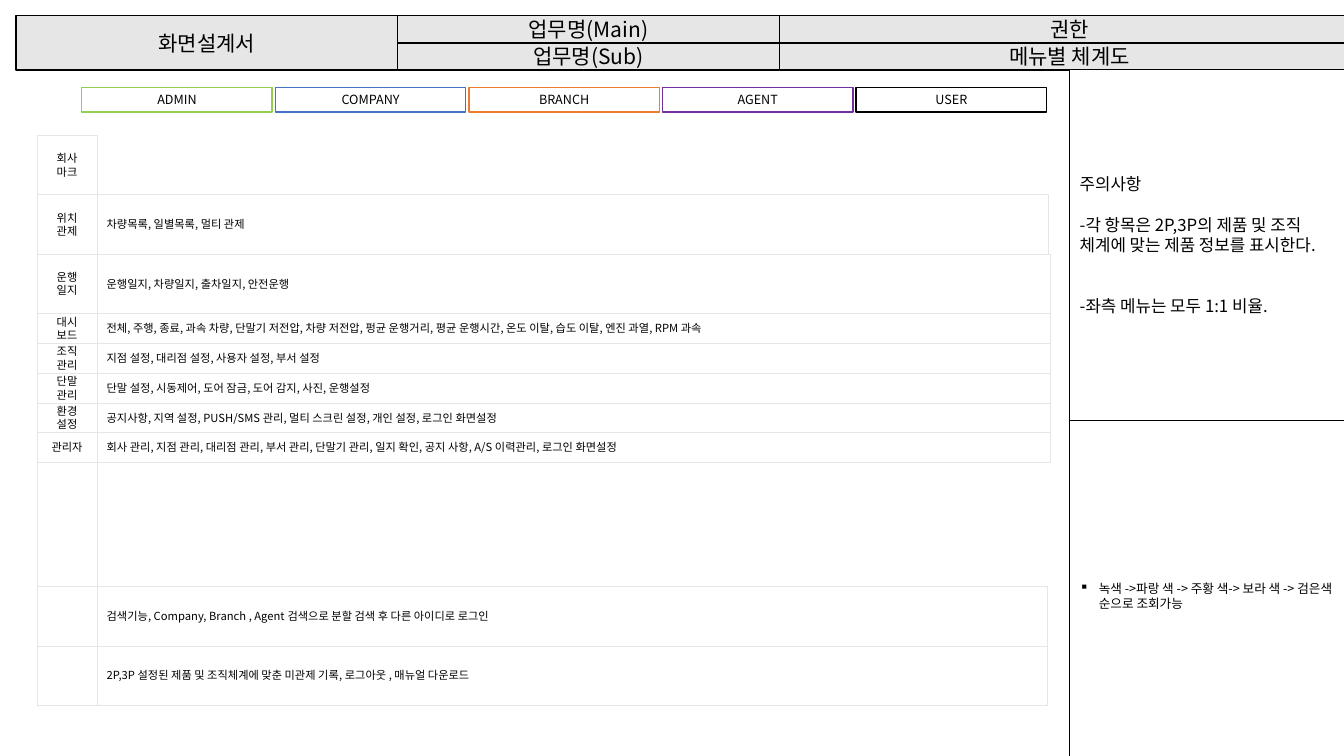
from lxml import etree
from pptx import Presentation
from pptx import util as u
from pptx.dml.color import RGBColor
from pptx.enum import shapes, text
from pptx.oxml import ns

FONT = "Noto Sans CJK KR"
BLACK = RGBColor(0x00, 0x00, 0x00)
WHITE = RGBColor(0xFF, 0xFF, 0xFF)
GRAY = RGBColor(0xE7, 0xE6, 0xE6)
GREEN = RGBColor(0x92, 0xD0, 0x50)
BLUE = RGBColor(0x44, 0x72, 0xC4)
ORANGE = RGBColor(0xED, 0x7D, 0x31)
PURPLE = RGBColor(0x70, 0x30, 0xA0)

presentation = Presentation()
presentation.slide_width = u.Inches(13.33)
presentation.slide_height = u.Inches(7.5)
slide = presentation.slides.add_slide(presentation.slide_layouts[5])


def write(shape, lines, size, align=text.PP_ALIGN.CENTER, bullet=None):
    """Fill a shape with (text, space before) paragraphs, centred vertically."""
    frame = shape.text_frame
    frame.word_wrap = True
    frame.auto_size = text.MSO_AUTO_SIZE.NONE
    frame.vertical_anchor = text.MSO_ANCHOR.MIDDLE
    for index, (line, space) in enumerate(lines):
        paragraph = frame.add_paragraph() if index else frame.paragraphs[0]
        paragraph.text = line
        paragraph.alignment = align
        paragraph.space_before = u.Pt(space)
        if bullet:
            properties = paragraph._p.get_or_add_pPr()
            properties.set("marL", str(u.Inches(0.19)))
            properties.set("indent", str(-u.Inches(0.19)))
            etree.SubElement(properties, ns.qn("a:buChar")).set("char", bullet)
        font = paragraph.font
        font.name, font.size, font.color.rgb = FONT, u.Pt(size), BLACK
        east_asian = etree.Element(ns.qn("a:ea"), typeface=FONT)
        font._element.find(ns.qn("a:latin")).addnext(east_asian)


def add_box(left, top, width, height, line, line_width=1, fill=None):
    shape = slide.shapes.add_shape(
        shapes.MSO_SHAPE.RECTANGLE,
        *(u.Inches(length) for length in (left, top, width, height)))
    shape.shadow.inherit = False
    if fill is None:
        shape.fill.background()
    else:
        shape.fill.solid()
        shape.fill.fore_color.rgb = fill
    shape.line.color.rgb = line
    shape.line.width = u.Pt(line_width)
    return shape


# Header: title at the left, two columns of two rows beside it
HEADER_LEFT, HEADER_TOP, HEADER_ROW = 0.16, 0.155, 0.27
HEADER_COLUMN, RIGHT_EDGE = 3.785, 13.49

title = slide.shapes.title
title.left, title.top = u.Inches(HEADER_LEFT), u.Inches(HEADER_TOP)
title.width, title.height = u.Inches(HEADER_COLUMN), u.Inches(2 * HEADER_ROW)
title.fill.solid()
title.fill.fore_color.rgb = GRAY
title.line.color.rgb = BLACK
title.line.width = u.Pt(1)
write(title, [("화면설계서", 0)], 15)

header_columns = [
    (1, ["업무명(Main)", "업무명(Sub)"]),
    (2, ["권한", "메뉴별 체계도"]),
]
for column, names in header_columns:
    left = HEADER_LEFT + column * HEADER_COLUMN
    width = HEADER_COLUMN if column == 1 else RIGHT_EDGE - left
    for row, name in enumerate(names):
        cell = add_box(left, HEADER_TOP + row * HEADER_ROW, width, HEADER_ROW,
                       BLACK, fill=GRAY)
        write(cell, [(name, 0)], 15)

# Side panels with notes
PANEL_LEFT, PANEL_TOP, PANEL_HEIGHT = 10.61, 0.69, 3.48
NOTE_LINE = 14.5
panels = [
    ([("주의사항", 0),
      ("-각 항목은 2P,3P의 제품 및 조직 체계에 맞는 제품 정보를 표시한다.", NOTE_LINE),
      ("-좌측 메뉴는 모두 1:1 비율.", 2 * NOTE_LINE)], 12, None),
    ([("녹색 ->파랑 색 -> 주황 색-> 보라 색 -> 검은색 순으로 조회가능", 0)], 9, "▪"),
]
for index, (lines, size, bullet) in enumerate(panels):
    panel = add_box(PANEL_LEFT, PANEL_TOP + index * PANEL_HEIGHT,
                    RIGHT_EDGE - PANEL_LEFT, PANEL_HEIGHT, BLACK, fill=WHITE)
    write(panel, lines, size, text.PP_ALIGN.LEFT, bullet)

# Account levels
levels = [("ADMIN", GREEN), ("COMPANY", BLUE), ("BRANCH", ORANGE),
          ("AGENT", PURPLE), ("USER", BLACK)]
for index, (name, color) in enumerate(levels):
    level = add_box(0.81 + index * 1.92, 0.87, 1.89, 0.24, color)
    write(level, [(name, 0)], 9)

# Menu rows: label, description, height, description width
MENU_LEFT, MENU_TOP, LABEL_WIDTH = 0.37, 1.34, 0.59
TALL = 0.59
SHORT = TALL / 2
GAP = 1.23
menu_rows = [
    ("회사\n마크", None, TALL, 0),
    ("위치\n관제", "차량목록, 일별목록, 멀티 관제", TALL, 9.44),
    ("운행\n일지", "운행일지, 차량일지, 출차일지, 안전운행", TALL, 9.46),
    ("대시\n보드", "전체, 주행, 종료, 과속 차량, 단말기 저전압, 차량 저전압, 펑균 운행거리, "
     "평균 운행시간, 온도 이탈, 습도 이탈, 엔진 과열, RPM 과속", SHORT, 9.46),
    ("조직\n관리", "지점 설정, 대리점 설정, 사용자 설정, 부서 설정", SHORT, 9.46),
    ("단말\n관리", "단말 설정, 시동제어, 도어 잠금, 도어 감지, 사진, 운행설정", SHORT, 9.46),
    ("환경\n설정", "공지사항, 지역 설정, PUSH/SMS 관리, 멀티 스크린 설정, 개인 설정, "
     "로그인 화면설정", SHORT, 9.46),
    ("관리자", "회사 관리, 지점 관리, 대리점 관리, 부서 관리, 단말기 관리, 일지 확인, "
     "공지 사항, A/S 이력관리, 로그인 화면설정", SHORT, 9.46),
    (None, None, GAP, 0),
    (None, "검색기능, Company, Branch , Agent 검색으로 분할 검색 후 다른 아이디로 로그인",
     TALL, 9.43),
    (None, "2P,3P 설정된 제품 및 조직체계에 맞춘 미관제 기록, 로그아웃 , 매뉴얼 다운로드",
     TALL, 9.43),
]
top = MENU_TOP
for label, description, height, width in menu_rows:
    if description:
        row = add_box(MENU_LEFT + LABEL_WIDTH, top, width, height, GRAY, 0.1)
        write(row, [(description, 0)], 8, text.PP_ALIGN.LEFT)
    label_box = add_box(MENU_LEFT, top, LABEL_WIDTH, height, GRAY, 0.1, WHITE)
    if label:
        write(label_box, [(label, 0)], 8)
    top += height

presentation.save("out.pptx")
